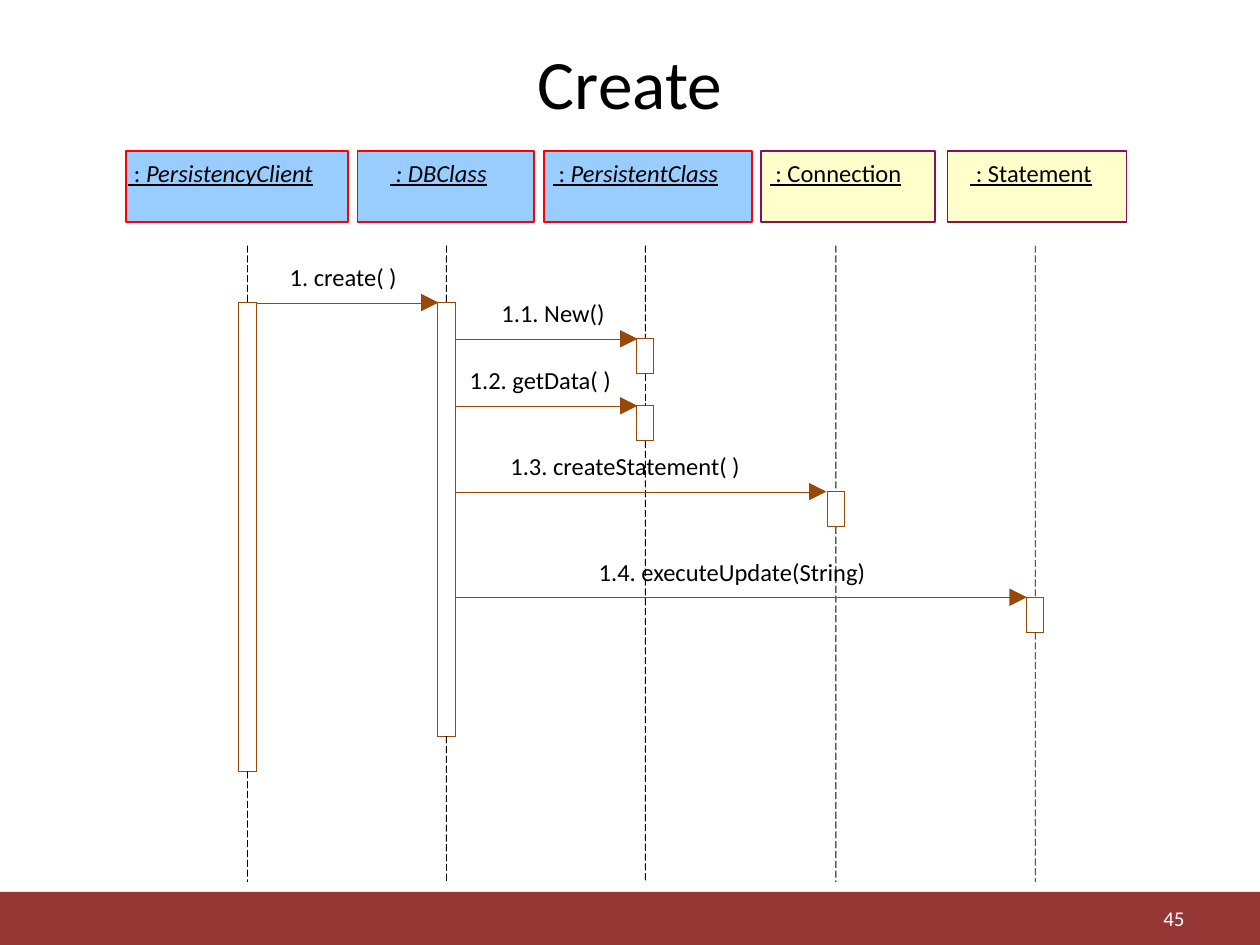
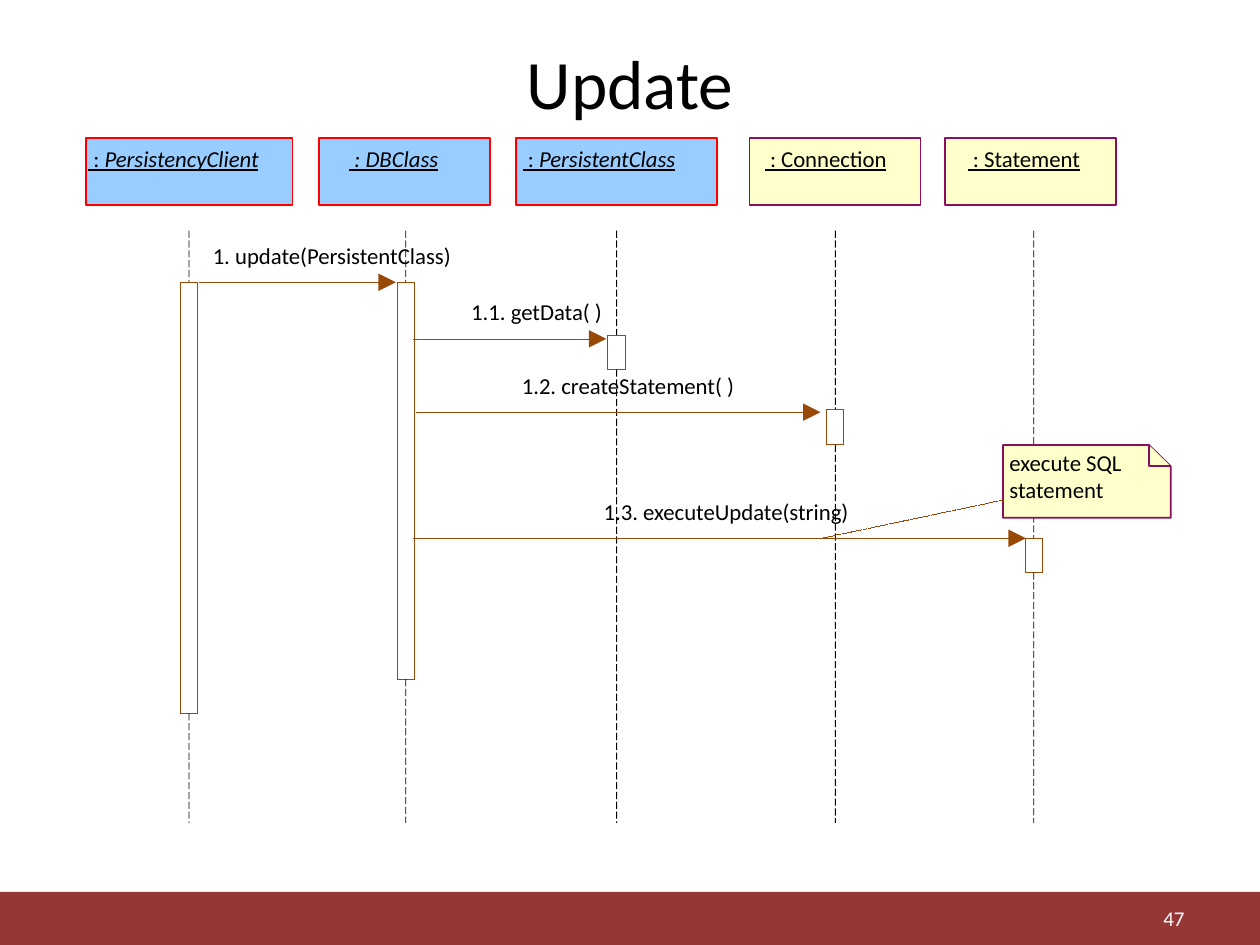
import lxml.etree
import pptx
import pptx.dml.color
import pptx.enum.dml
import pptx.enum.shapes
import pptx.enum.text
import pptx.oxml.ns
import pptx.util

Cm = pptx.util.Cm
Pt = pptx.util.Pt
RGBColor = pptx.dml.color.RGBColor
qn = pptx.oxml.ns.qn
PRESET = pptx.enum.shapes.MSO_SHAPE
DASH = pptx.enum.dml.MSO_LINE
ALIGN = pptx.enum.text.PP_ALIGN
ANCHOR = pptx.enum.text.MSO_ANCHOR
AUTO_SIZE = pptx.enum.text.MSO_AUTO_SIZE

BLACK = RGBColor(0x00, 0x00, 0x00)
WHITE = RGBColor(0xFF, 0xFF, 0xFF)
BAND_RED = RGBColor(0x95, 0x37, 0x35)
BROWN = RGBColor(0x98, 0x48, 0x07)
RED = RGBColor(0xFF, 0x00, 0x00)
PLUM = RGBColor(0x8A, 0x0E, 0x5E)
BLUE = RGBColor(0x99, 0xCC, 0xFF)
CREAM = RGBColor(0xFF, 0xFF, 0xCC)

FONT = "Calibri"
BAR_WIDTH = 0.35
LABEL_RISE = 0.82
NO_INSETS = {"margin_left": 0, "margin_top": 0, "margin_right": 0, "margin_bottom": 0}

ROLES = [
    ([(" : ", False), ("PersistencyClient", True)], BLUE, RED),
    ([(" : DBClass", True)], BLUE, RED),
    ([(" : ", False), ("PersistentClass", True)], BLUE, RED),
    ([(" : Connection", False)], CREAM, PLUM),
    ([(" : Statement", False)], CREAM, PLUM),
]

CREATE = {
    "title": "Create", "number": "45", "size": 14,
    "head_top": 3.05, "head_height": 1.42, "name_top": 3.18,
    "life_top": 4.95, "life_bottom": 17.78,
    # left, width, name left, name width, lifeline x, bars (top, height)
    "columns": [
        (2.54, 4.47, 2.59, 4.24, 4.99, [(6.1, 9.45)]),
        (7.21, 3.56, 7.87, 1.96, 9.0, [(6.1, 8.74)]),
        (10.97, 4.19, 11.15, 3.35, 13.01, [(6.83, 0.71), (8.18, 0.71)]),
        (15.34, 3.51, 15.52, 3.15, 16.85, [(9.91, 0.71)]),
        (19.1, 3.61, 19.56, 2.46, 20.87, [(12.04, 0.71)]),
    ],
    # text, label left, label width, arrow start, arrow end, arrow y
    "messages": [
        ("1. create( )", 5.84, 2.39, 5.16, 8.84, 6.1),
        ("1.1. New()", 10.11, 2.26, 9.19, 12.85, 6.83),
        ("1.2. getData( )", 9.47, 3.15, 9.19, 12.85, 8.18),
        ("1.3. createStatement( )", 10.29, 5.03, 9.19, 16.66, 9.91),
        ("1.4. executeUpdate(String)", 12.07, 5.89, 9.19, 20.7, 12.04),
    ],
}

UPDATE = {
    "title": "Update", "number": "47", "size": 13,
    "head_top": 2.79, "head_height": 1.35, "name_top": 2.92,
    "life_top": 4.65, "life_bottom": 16.59,
    "columns": [
        (1.73, 4.17, 1.78, 3.48, 3.81, [(5.69, 8.69)]),
        (6.43, 3.45, 7.04, 1.83, 8.18, [(5.69, 8.0)]),
        (10.41, 4.04, 10.54, 3.1, 12.43, [(6.76, 0.69)]),
        (15.11, 3.45, 15.42, 2.49, 16.84, [(8.26, 0.71)]),
        (19.05, 3.45, 19.51, 2.31, 20.84, [(10.85, 0.69)]),
    ],
    "messages": [
        ("1. update(PersistentClass)", 4.29, 4.88, 4.01, 7.98, 5.69),
        ("1.1. getData( )", 9.5, 2.67, 8.33, 12.22, 6.83),
        ("1.2. createStatement( )", 10.52, 4.34, 8.38, 16.54, 8.31),
        ("1.3. executeUpdate(string)", 12.17, 5.0, 8.33, 20.68, 10.85),
    ],
}


def apply(target, formats):
    for name, value in formats.items():
        setattr(target, name, value)


def write(para, text, size, color=BLACK, **formats):
    span = para.add_run()
    span.text = text
    apply(span.font, {"name": FONT, "size": Pt(size), **formats})
    span.font.color.rgb = color


def outline(item, color, width):
    item.line.color.rgb = color
    line = item.element.spPr.find(qn("a:ln"))
    line.set("w", str(Pt(width)))
    return line


def add_rectangle(page, left, top, width, height, fill=None):
    box = page.shapes.add_shape(PRESET.RECTANGLE, Cm(left), Cm(top), Cm(width), Cm(height))
    box.shadow.inherit = False
    if fill is None:
        box.fill.background()
    else:
        box.fill.solid()
        box.fill.fore_color.rgb = fill
    return box


def add_line(page, start, end, color, width, dash=None, arrow=False):
    points = [Cm(value) for value in (*start, *end)]
    link = page.shapes.add_connector(pptx.enum.shapes.MSO_CONNECTOR.STRAIGHT, *points)
    line = outline(link, color, width)
    if dash is not None:
        link.line.dash_style = dash
    if arrow:
        head = {"type": "triangle", "w": "lg", "len": "lg"}
        lxml.etree.SubElement(line, qn("a:tailEnd"), head)
    lxml.etree.SubElement(link.element.spPr, qn("a:effectLst"))
    return link


def add_label(page, left, top, width, size, lines, **formats):
    height = size * 0.043 * len(lines)
    box = page.shapes.add_textbox(Cm(left), Cm(top), Cm(width), Cm(height))
    frame = box.text_frame
    apply(frame, {**NO_INSETS, "word_wrap": False, "auto_size": AUTO_SIZE.SHAPE_TO_FIT_TEXT})
    for index, spans in enumerate(lines):
        para = frame.add_paragraph() if index else frame.paragraphs[0]
        for text, italic in spans:
            write(para, text, size, italic=italic, **formats)


def add_head(page, scene, role, column):
    spans, fill, border = role
    left, width, name_left, name_width = column[:4]
    box = add_rectangle(page, left, scene["head_top"], width, scene["head_height"], fill)
    outline(box, border, 1)
    add_label(page, name_left, scene["name_top"], name_width, scene["size"], [spans],
              underline=True)


def add_lifeline(page, scene, x, bars):
    start, previous = scene["life_top"], None
    for top, height in [*bars, (scene["life_bottom"], 0)]:
        link = add_line(page, (x, start), (x, top), BLACK, 0.5, DASH.LONG_DASH)
        if previous is not None:
            link.begin_connect(previous, 2)
        if height:
            previous = add_rectangle(page, x - BAR_WIDTH / 2, top, BAR_WIDTH, height)
            outline(previous, BROWN, 0)
            link.end_connect(previous, 0)
        start = top + height


def add_message(page, size, text, left, width, start, end, y):
    add_line(page, (start, y), (end, y), BROWN, 0, arrow=True)
    add_label(page, left, y - LABEL_RISE, width, size, [[(text, False)]])


def add_outline_shape(page, points, close):
    corners = [(Cm(x), Cm(y)) for x, y in points]
    builder = page.shapes.build_freeform(*corners[0])
    builder.add_line_segments(corners[1:], close=close)
    figure = builder.convert_to_shape()
    figure.shadow.inherit = False
    figure.fill.solid()
    figure.fill.fore_color.rgb = CREAM
    outline(figure, PLUM, 1)


def add_note(page, size):
    left, top, right, bottom = 20.22, 8.97, 23.6, 10.44
    fold_x, fold_y = 23.16, 9.4
    sheet = [(left, top), (fold_x, top), (right, fold_y), (right, bottom), (left, bottom)]
    add_outline_shape(page, sheet, True)
    add_outline_shape(page, [(fold_x, top), (fold_x, fold_y), (right, fold_y)], False)
    add_label(page, 20.35, 9.04, 2.41, size,
              [[("execute SQL", False)], [("statement", False)]])
    add_line(page, (left, 10.08), (16.56, 10.85), BROWN, 0, DASH.SQUARE_DOT)


def add_band(deck, page):
    band = add_rectangle(page, 0, 17.98, 25.4, 1.07, BAND_RED)
    band.line.fill.background()
    deck.slide_master.element.cSld.spTree.append(band.element)


def add_title(page, text):
    title = page.shapes.title
    apply(title, {"left": Cm(1.27), "top": Cm(0.76), "width": Cm(22.86), "height": Cm(1.78)})
    apply(title.text_frame, {"vertical_anchor": ANCHOR.MIDDLE, "auto_size": AUTO_SIZE.NONE})
    para = title.text_frame.paragraphs[0]
    para.alignment = ALIGN.CENTER
    write(para, text, 39.6)


def add_number(page, text):
    box = page.shapes.add_textbox(Cm(18.21), Cm(18.16), Cm(5.92), Cm(0.69))
    apply(box.text_frame, {"word_wrap": True, "vertical_anchor": ANCHOR.MIDDLE})
    para = box.text_frame.paragraphs[0]
    para.alignment = ALIGN.RIGHT
    write(para, text, 12, WHITE)


def add_scene(deck, scene):
    page = deck.slides.add_slide(deck.slide_layouts.get_by_name("Title Only"))
    add_title(page, scene["title"])
    add_number(page, scene["number"])
    for role, column in zip(ROLES, scene["columns"]):
        add_head(page, scene, role, column)
        add_lifeline(page, scene, *column[4:])
    for message in scene["messages"]:
        add_message(page, scene["size"], *message)
    return page


def main():
    deck = pptx.Presentation()
    apply(deck, {"slide_width": Cm(25.4), "slide_height": Cm(19.05)})
    create_page = add_scene(deck, CREATE)
    add_band(deck, create_page)
    update_page = add_scene(deck, UPDATE)
    add_note(update_page, UPDATE["size"])
    deck.save("out.pptx")


if __name__ == "__main__":
    main()
